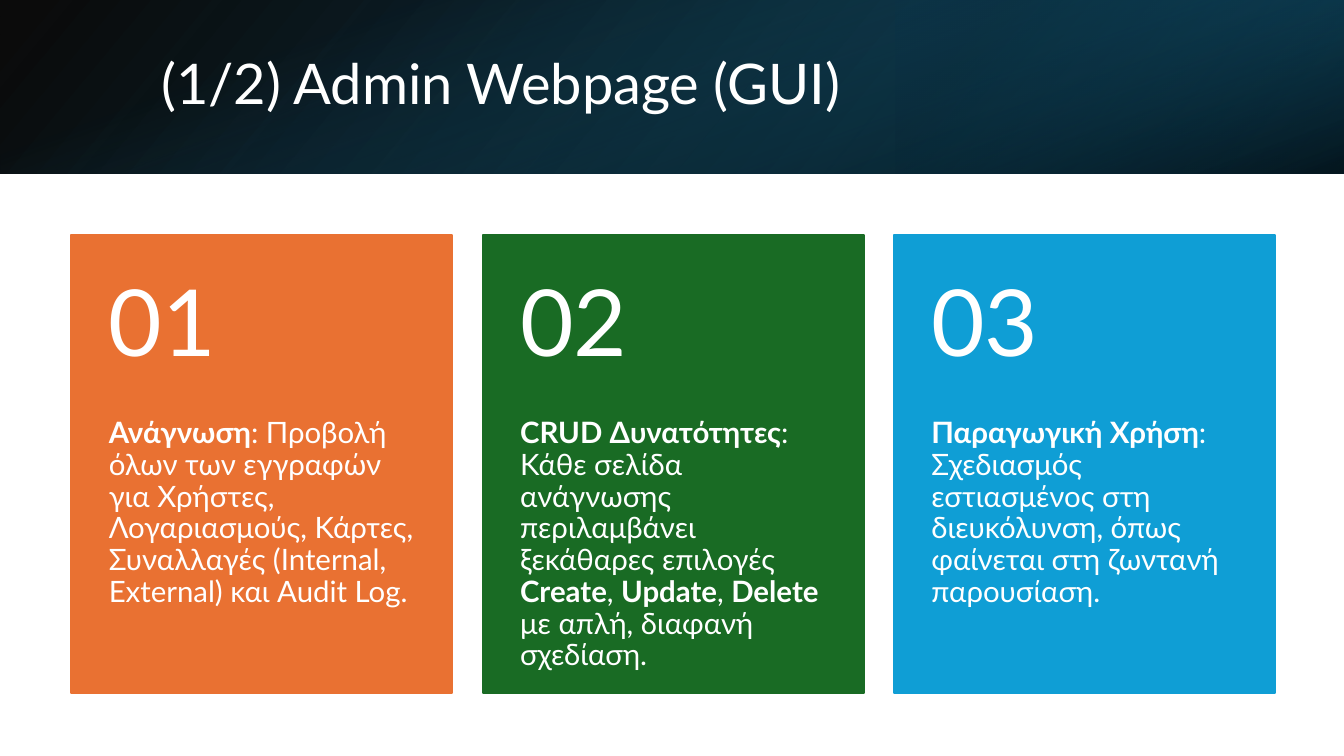
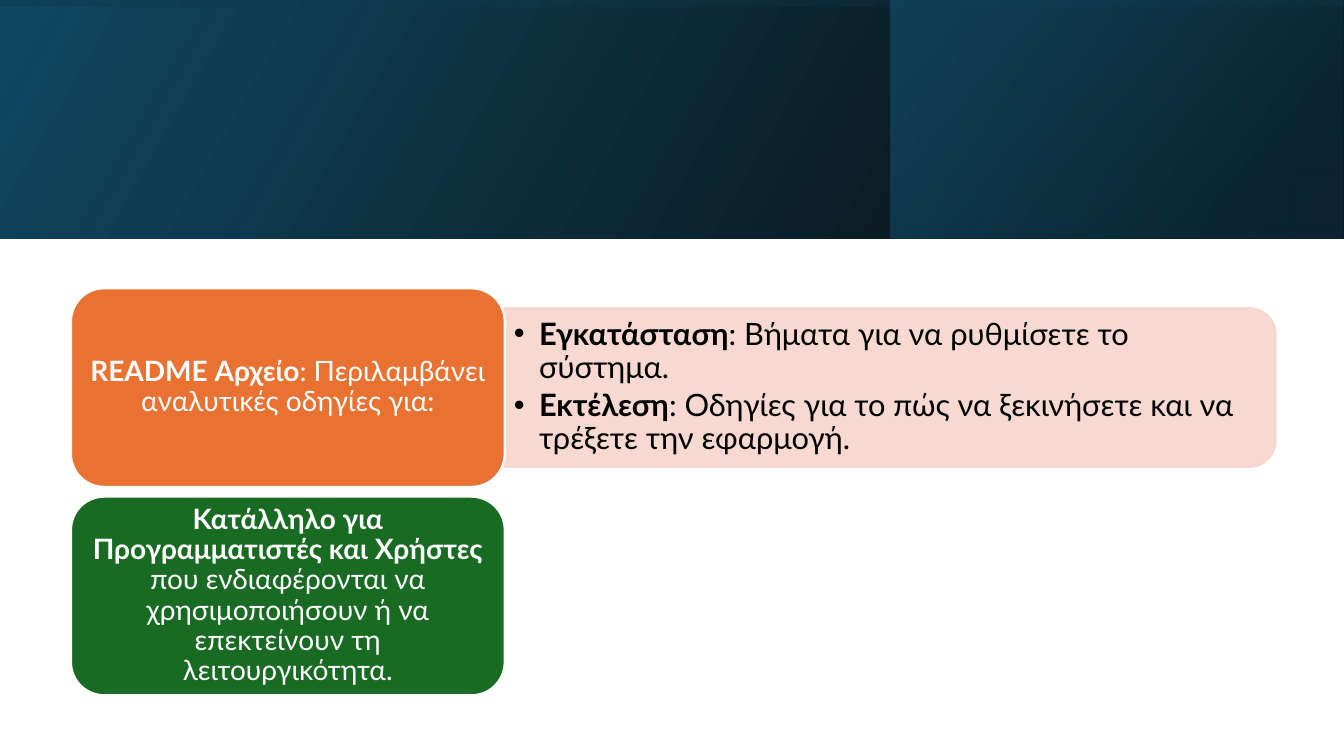
from lxml.etree import SubElement
from pptx import Presentation
from pptx.dml.color import RGBColor
from pptx.enum.shapes import MSO_SHAPE
from pptx.enum.text import MSO_ANCHOR, MSO_AUTO_SIZE, PP_ALIGN
from pptx.oxml.ns import qn
from pptx.util import Pt

WIDTH = 960
FONT = "Lato"
WHITE, BLACK, PINK = "FFFFFF", "000000", "F7D5CE"
ORANGE, GREEN, BLUE = "E97132", "196B24", "0F9ED5"


def color(value):
    return RGBColor.from_string(value)


def write(p, runs, size, value, align=PP_ALIGN.LEFT):
    p.alignment = align
    p.line_spacing = 0.9
    p.space_before = Pt(0)
    for text, bold in runs:
        r = p.add_run()
        r.text = text
        r.font.name = FONT
        r.font.size = Pt(size)
        r.font.bold = bold
        r.font.color.rgb = color(value)


prs = Presentation()
prs.slide_width, prs.slide_height = Pt(WIDTH), Pt(540)
admin = prs.slides.add_slide(prs.slide_layouts[5])
readme = prs.slides.add_slide(prs.slide_layouts[1])

headers = [
    (admin, 124, 640, [
        (0, True, 140, [(0, "000000", 96), (100, "104862", 100)]),
        (180, True, 320, [(19, "0B3041", 68), (100, "156082", 79)]),
        (90, False, 340, [(23, "156082", 0), (99, "000000", 74)])]),
    (readme, 170.6, 636.5, [
        (0, True, 330, [(0, "000000", 96), (100, "104862", 100)]),
        (0, True, 320, [(19, "0B3041", 68), (100, "156082", 48)]),
        (270, True, 350, [(23, "104862", 16), (99, "000000", 45)])]),
]
for s, height, split, layers in headers:
    offset = (WIDTH - height) / 2
    boxes = [(0, 0, WIDTH, height), (split, 0, WIDTH - split, height),
             (offset, -offset, height, WIDTH)]
    for box, (rotation, flip, angle, stops) in zip(boxes, layers):
        sp = s.shapes.add_shape(MSO_SHAPE.RECTANGLE, *map(Pt, box))
        sp.shadow.inherit = False
        sp.rotation = rotation
        if flip:
            sp._element.spPr.xfrm.set("flipH", "1")
        sp.line.fill.background()
        sp.fill.gradient()
        sp.fill.gradient_angle = 360 - angle
        for stop, (position, value, _) in zip(sp.fill.gradient_stops, stops):
            stop.position = position / 100
            stop.color.rgb = color(value)
        for clr, (_, _, alpha) in zip(sp._element.spPr.iter(qn("a:srgbClr")), stops):
            SubElement(clr, qn("a:alpha")).set("val", str(alpha * 1000))

title = admin.shapes.title
admin.shapes._spTree.append(title._element)
title.left, title.top, title.width, title.height = map(Pt, (108, 27.4, 790.6, 69))
tf = title.text_frame
tf.auto_size = MSO_AUTO_SIZE.NONE
tf.vertical_anchor = MSO_ANCHOR.MIDDLE
write(tf.paragraphs[0], [("(1/2) Admin Webpage (GUI)", False)], 40, WHITE)

cards = [
    (ORANGE, [
        ("Ανάγνωση", True),
        (": Προβολή όλων των εγγραφών για Χρήστες, Λογαριασμούς, Κάρτες, "
         "Συναλλαγές (Internal, External) και Audit Log.", False)]),
    (GREEN, [
        ("CRUD Δυνατότητες", True),
        (": Κάθε σελίδα ανάγνωσης περιλαμβάνει ξεκάθαρες επιλογές ", False),
        ("Create", True), (", ", False), ("Update", True), (", ", False),
        ("Delete", True), (" με απλή, διαφανή σχεδίαση.", False)]),
    (BLUE, [
        ("Παραγωγική Χρήση", True),
        (": Σχεδιασμός εστιασμένος στη διευκόλυνση, όπως φαίνεται στη "
         "ζωντανή παρουσίαση.", False)]),
]
card_top, card_width, number_height, body_height = 167.8, 272.2, 131, 196
for i, (fill, runs) in enumerate(cards):
    left = 51 + i * 293.8
    sp = admin.shapes.add_shape(MSO_SHAPE.RECTANGLE, Pt(left), Pt(card_top),
                                Pt(card_width), Pt(number_height + body_height))
    sp.shadow.inherit = False
    sp.fill.solid()
    sp.fill.fore_color.rgb = color(fill)
    sp.line.color.rgb = color(fill)
    sp.line.width = Pt(1.5)
    parts = [
        (card_top, number_height, 13, 13, MSO_ANCHOR.MIDDLE, 66, [(f"{i + 1:02}", False)]),
        (card_top + number_height, body_height, 0, 26, MSO_ANCHOR.TOP, 21, runs),
    ]
    for top, height, inset_top, inset_bottom, anchor, size, text in parts:
        box = admin.shapes.add_textbox(Pt(left), Pt(top), Pt(card_width), Pt(height))
        tf = box.text_frame
        tf.word_wrap = True
        tf.vertical_anchor = anchor
        tf.margin_left = tf.margin_right = Pt(26.7)
        tf.margin_top, tf.margin_bottom = Pt(inset_top), Pt(inset_bottom)
        write(tf.paragraphs[0], text, size, WHITE)

panel = readme.shapes.add_shape(MSO_SHAPE.ROUND_2_SAME_RECTANGLE,
                                Pt(579), Pt(1.3), Pt(113.4), Pt(551))
panel.rotation = 90
panel.shadow.inherit = False
panel.fill.solid()
panel.fill.fore_color.rgb = color(PINK)
panel.line.color.rgb = color(PINK)
panel.line.width = Pt(1.5)
for clr in panel._element.spPr.iter(qn("a:srgbClr")):
    SubElement(clr, qn("a:alpha")).set("val", "90000")

title = readme.shapes.title._element
title.getparent().remove(title)
body = readme.placeholders[1]
readme.shapes._spTree.append(body._element)
body.left, body.top, body.width, body.height = map(Pt, (360.5, 225.6, 545, 102.2))
tf = body.text_frame
tf.auto_size = MSO_AUTO_SIZE.NONE
tf.vertical_anchor = MSO_ANCHOR.MIDDLE
tf.margin_left = tf.margin_right = Pt(6.6)
tf.margin_top = tf.margin_bottom = Pt(3.3)
steps = [
    ("Εγκατάσταση", ": Βήματα για να ρυθμίσετε το σύστημα."),
    ("Εκτέλεση", ": Οδηγίες για το πώς να ξεκινήσετε και να τρέξετε την εφαρμογή."),
]
for i, (name, detail) in enumerate(steps):
    p = tf.add_paragraph() if i else tf.paragraphs[0]
    pPr = p._p.get_or_add_pPr()
    pPr.set("marL", str(Pt(18)))
    pPr.set("indent", str(Pt(-18)))
    SubElement(pPr, qn("a:buFont")).set("typeface", "Arial")
    SubElement(pPr, qn("a:buChar")).set("char", "•")
    write(p, [(name, True), (detail, False)], 22, BLACK)
    p.space_after = Pt(3.3)

notes = [
    (ORANGE, "README Αρχείο", ": Περιλαμβάνει αναλυτικές οδηγίες για:"),
    (GREEN, "Κατάλληλο για Προγραμματιστές και Χρήστες",
     " που ενδιαφέρονται να χρησιμοποιήσουν ή να επεκτείνουν τη λειτουργικότητα."),
]
for i, (fill, name, detail) in enumerate(notes):
    sp = readme.shapes.add_shape(MSO_SHAPE.ROUNDED_RECTANGLE, Pt(50.7),
                                 Pt(206 + i * 148.8), Pt(309.8), Pt(141.8))
    sp.shadow.inherit = False
    sp.fill.solid()
    sp.fill.fore_color.rgb = color(fill)
    sp.line.color.rgb = color(WHITE)
    sp.line.width = Pt(1.5)
    tf = sp.text_frame
    tf.word_wrap = True
    tf.vertical_anchor = MSO_ANCHOR.MIDDLE
    tf.margin_left = tf.margin_right = Pt(6)
    tf.margin_top = tf.margin_bottom = Pt(3)
    write(tf.paragraphs[0], [(name, True), (detail, False)], 20, WHITE, PP_ALIGN.CENTER)

prs.save("out.pptx")
